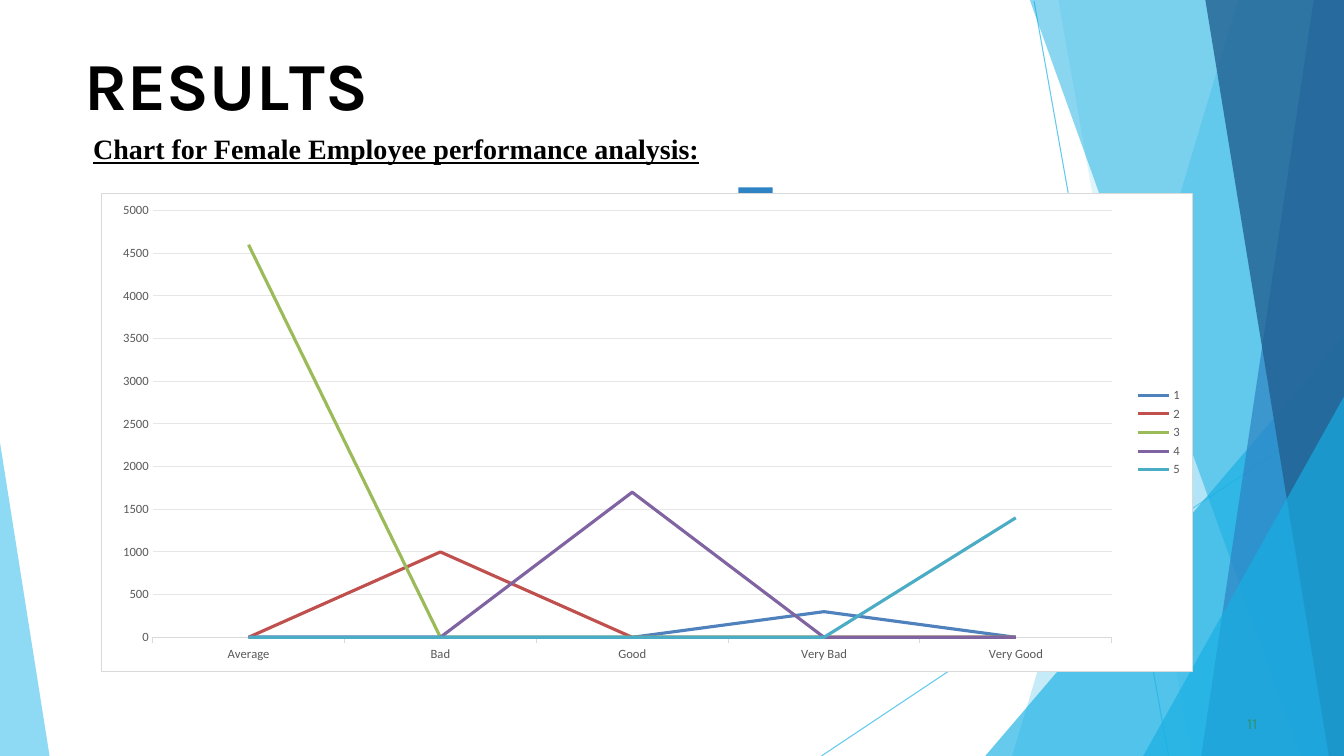
import pptx
import pptx.chart.data
import pptx.dml.color
import pptx.enum.chart
import pptx.enum.shapes
import pptx.oxml
import pptx.oxml.ns
import pptx.util
from lxml import etree

THEME = {
    "sky": "5FCAEE", "cyan": "17AFE3", "blue": "2D83C3", "navy": "226192",
    "green": "2D936B", "ink": "000000", "paper": "FFFFFF",
    "label": "595959", "axis": "D9D9D9", "grid": "E6E6E6",
    "series": ["4F81BD", "C0504D", "9BBB59", "8064A2", "4BACC6"],
    "title_size": 48, "subtitle_size": 20, "number_size": 11, "label_size": 9,
    "heading_font": "Karla", "body_font": "Times New Roman", "chart_font": "Calibri",
    "hairline": pptx.util.Pt(0.75),
}
COLUMNS, ROWS = 16, 9
UNIT = pptx.util.Inches(13.333) / COLUMNS  # one square cell of the 16 by 9 grid


def cells(*counts):
    return [pptx.util.Emu(round(count * UNIT)) for count in counts]


def rgb(name):
    return pptx.dml.color.RGBColor.from_string(THEME.get(name, name))


deck = pptx.Presentation()
deck.slide_width, deck.slide_height = cells(COLUMNS, ROWS)
page = deck.slides.add_slide(deck.slide_layouts[6])

# Thin lines behind the panels
for ends in [(12.31, 0.01, 13.91, ROWS), (COLUMNS, 4.85, 9.78, ROWS)]:
    hairline = page.shapes.add_connector(
        pptx.enum.shapes.MSO_CONNECTOR.STRAIGHT, *cells(*ends))
    hairline.line.color.rgb = rgb("sky")
    hairline.line.width = THEME["hairline"]
    etree.SubElement(hairline.element.spPr, pptx.oxml.ns.qn("a:effectLst"))

# Translucent panels: colour, opacity in percent, outline
right_top, right_bottom = (COLUMNS, 0), (COLUMNS, ROWS)
panels = [
    ("sky", 36, [right_top, (14.74, 0), (12.05, ROWS), right_bottom]),
    ("sky", 20, [right_top, (12.6, 0), (14.18, ROWS), right_bottom]),
    ("cyan", 66, [(COLUMNS, 4), (11.73, ROWS), right_bottom]),
    ("cyan", 50, [right_top, (12.26, 0), (15.49, ROWS), right_bottom]),
    ("blue", 70, [right_top, (15.64, 0), (14.3, ROWS), right_bottom]),
    ("navy", 80, [right_top, (14.35, 0), (15.82, ROWS), right_bottom]),
    ("cyan", 66, [(COLUMNS, 4.72), (13.61, ROWS), right_bottom]),
    ("sky", 70, [(0, 5.27), (0, ROWS), (0.59, ROWS)]),
]
for colour, opacity, corners in panels:
    start, *others = [cells(*corner) for corner in corners]
    outline = page.shapes.build_freeform(*start)
    outline.add_line_segments(others, close=True)
    panel = outline.convert_to_shape()
    panel.shadow.inherit = False
    panel.line.fill.background()
    panel.fill.solid()
    panel.fill.fore_color.rgb = rgb(colour)
    tint = panel.element.spPr.find(".//" + pptx.oxml.ns.qn("a:srgbClr"))
    etree.SubElement(tint, pptx.oxml.ns.qn("a:alpha"), val=str(opacity * 1000))

# Small square that peeks out above the chart
square = page.shapes.add_shape(
    pptx.enum.shapes.MSO_SHAPE.RECTANGLE, *cells(8.79, 2.23, 0.41, 0.42))
square.shadow.inherit = False
square.line.fill.background()
square.fill.solid()
square.fill.fore_color.rgb = rgb("blue")

# Texts: place, insets in inches, space before, look, and spans with letter spacing
texts = [
    ((0.99, 0.51, 14, 1), (0.01, 0.01, 0, 0), 1.1,
     ("title_size", "heading_font", "ink", True, False),
     [("R", 0), ("E", -0.4), ("S", 0.1), ("U", -0.3), ("L", -4), ("TS", 0)]),
    ((14.8, 8.49, 0.3, 0.25), (0.04, 0.01, 0, 0), 0.6,
     ("number_size", "heading_font", "green", False, False), [("11", 0.1)]),
    ((0.99, 1.51, 7.8, 0.53), (0.1, 0.05, 0.1, 0.05), 0,
     ("subtitle_size", "body_font", "ink", True, True),
     [("Chart for Female Employee performance analysis:", 0)]),
]
for place, insets, space, (size, face, colour, bold, underline), spans in texts:
    box = page.shapes.add_textbox(*cells(*place))
    frame = box.text_frame
    frame.word_wrap = True
    (frame.margin_left, frame.margin_top, frame.margin_right,
     frame.margin_bottom) = map(pptx.util.Inches, insets)
    para = frame.paragraphs[0]
    para.space_before = pptx.util.Pt(space)
    for words, spacing in spans:
        span = para.add_run()
        span.text = words
        span.font.size = pptx.util.Pt(THEME[size])
        span.font.name = THEME[face]
        span.font.color.rgb = rgb(colour)
        span.font.bold = bold
        span.font.underline = underline
        if spacing:
            span.font._element.set("spc", str(round(spacing * 100)))

# Line chart: each rating peaks in one category
ratings = pptx.chart.data.CategoryChartData()
ratings.categories = ["Average", "Bad", "Good", "Very Bad", "Very Good"]
ratings.add_series("1", [0, 0, 0, 300, 0])
ratings.add_series("2", [0, 1000, 0, 0, 0])
ratings.add_series("3", [4600, 0, 0, 0, 0])
ratings.add_series("4", [0, 0, 1700, 0, 0])
ratings.add_series("5", [0, 0, 0, 0, 1400])
chart = page.shapes.add_chart(
    pptx.enum.chart.XL_CHART_TYPE.LINE, *cells(1.2, 2.3, 13, 5.7), ratings).chart
chart.has_title = False
chart.font.name = THEME["chart_font"]
chart.font.size = pptx.util.Pt(THEME["label_size"])
chart.font.color.rgb = rgb("label")
chart.has_legend = True
chart.legend.position = pptx.enum.chart.XL_LEGEND_POSITION.RIGHT
chart.legend.include_in_layout = False

plot = chart.plots[0]
plot.vary_by_categories = False
for series, colour in zip(plot.series, THEME["series"]):
    series.smooth = False
    series.marker.style = pptx.enum.chart.XL_MARKER_STYLE.NONE
    series.format.line.color.rgb = rgb(colour)
    series.format.line.width = pptx.util.Pt(2.25)

# Axes and grid
chart.category_axis.major_tick_mark = pptx.enum.chart.XL_TICK_MARK.OUTSIDE
scale = chart.value_axis
scale.minimum_scale, scale.maximum_scale, scale.major_unit = 0, 5000, 500
scale.major_tick_mark = pptx.enum.chart.XL_TICK_MARK.NONE
scale.format.line.fill.background()
for rule, colour in [(chart.category_axis, "axis"), (scale.major_gridlines, "grid")]:
    rule.format.line.color.rgb = rgb(colour)
    rule.format.line.width = THEME["hairline"]

# White chart background with a thin border
backdrop = pptx.oxml.parse_xml(
    f'<c:spPr {pptx.oxml.ns.nsdecls("c", "a")}>'
    f'<a:solidFill><a:srgbClr val="{THEME["paper"]}"/></a:solidFill>'
    f'<a:ln w="{THEME["hairline"]}"><a:solidFill>'
    f'<a:srgbClr val="{THEME["axis"]}"/></a:solidFill></a:ln></c:spPr>')
chart.element.find(pptx.oxml.ns.qn("c:chart")).addnext(backdrop)

deck.save("out.pptx")
